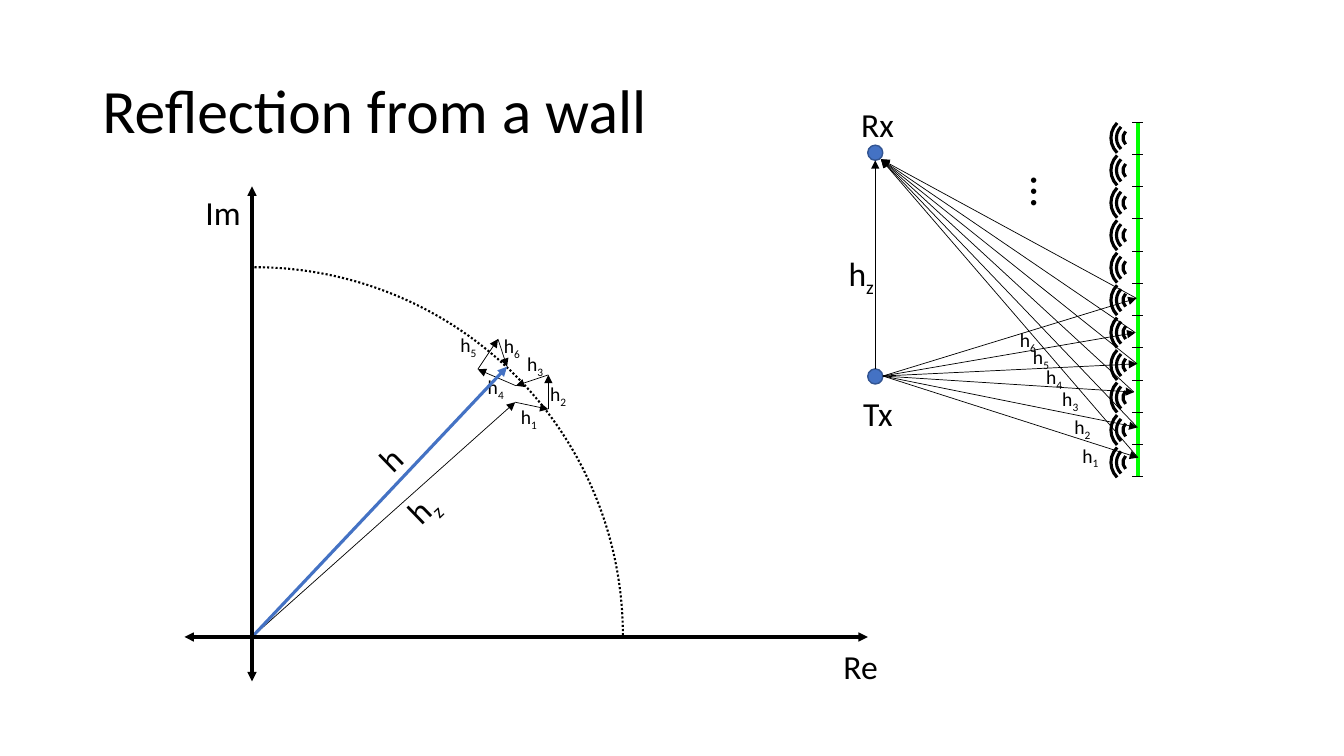
from dataclasses import dataclass
from itertools import pairwise

from lxml import etree
from pptx import Presentation
from pptx.dml import color
from pptx.enum import dml, shapes, text
from pptx.oxml import ns
from pptx.util import Pt


@dataclass(frozen=True)
class Theme:
    font: str = "Calibri"
    ink: str = "000000"
    accent: str = "4472C4"
    node_edge: str = "325491"
    wall: str = "00FF00"
    title: int = 44
    dots: int = 32
    label: int = 24
    small: int = 14
    thin: float = 0.5
    edge: float = 1
    dotted: float = 1.5
    thick: float = 2.25


THEME = Theme()
ORIGIN = (180, 455)
PHASOR_TIPS = [(368, 287.3), (391.7, 292.3), (391.7, 267.8), (368.5, 275.5),
               (341.3, 263.8), (355.7, 242.2), (362.2, 262)]
PHASOR_LABELS = [(365, 285.8), (385.9, 269.3), (369.4, 247.7),
                 (341.3, 264.2), (321.8, 234), (352.8, 234.7)]
WALL_HITS = [(812.9, 326.9), (812.5, 305.3), (810, 280.1),
             (812.2, 259.9), (811, 237.6), (811.8, 213.1)]
PATH_LABELS = [(766.1, 313.2), (760.3, 293), (751.7, 272.9),
               (740.2, 257), (730.8, 242.6), (721.4, 230.4)]
ANTENNA_X, RX_Y, TX_Y, NODE_SIZE = 625.2, 109.1, 268.9, 10.8
TX_EXIT, RX_ENTRY = (630.7, 268.6), (629.3, 113.8)
WALL_X, WALL_TOP, WALL_BOTTOM, SEGMENTS = 812.9, 87.1, 340.6, 11
WAVE_X, WAVE_TOP, WAVE_STEP = 808.6, 98.5, 23.18
WAVE_SIZES = (30.2, 13, 22.3)


def apply(target, values):
    for name, value in values.items():
        setattr(target, name, value)


def rgb(value):
    return color.RGBColor.from_string(value)


def stroke(line, ink, width):
    line.color.rgb = rgb(ink)
    line.width = Pt(width)


def add_line(parent, start, end, ink=THEME.ink, width=THEME.thin, heads=()):
    segment = parent.add_connector(
        shapes.MSO_CONNECTOR.STRAIGHT, *map(Pt, (*start, *end)))
    stroke(segment.line, ink, width)
    outline = segment.line._get_or_add_ln()
    for head in heads:
        etree.SubElement(outline, ns.qn(f"a:{head}"), type="triangle")
    etree.SubElement(segment._element.spPr, ns.qn("a:effectLst"))


def add_arrow(parent, start, end, **style):
    add_line(parent, start, end, heads=("tailEnd",), **style)


def add_axis(parent, start, end):
    add_line(parent, start, end, width=THEME.thick, heads=("headEnd", "tailEnd"))


def add_label(parent, wording, box, size=THEME.label, sub="", turn=0,
              align=text.PP_ALIGN.LEFT):
    label = parent.add_textbox(*map(Pt, box))
    label.rotation = turn
    apply(label.text_frame, {
        "word_wrap": False, "auto_size": text.MSO_AUTO_SIZE.SHAPE_TO_FIT_TEXT})
    paragraph = label.text_frame.paragraphs[0]
    paragraph.alignment = align
    for part in filter(None, (wording, sub)):
        run = paragraph.add_run()
        run.text = part
        apply(run.font, {"name": THEME.font, "size": Pt(size)})
        run.font.color.rgb = rgb(THEME.ink)
        if part == sub:
            run._r.get_or_add_rPr().set("baseline", "-25000")
    return label


def add_title(parent, wording):
    title = add_label(parent, wording, (66, 28.8, 828, 104.4), THEME.title)
    apply(title.text_frame, {
        "word_wrap": True, "auto_size": text.MSO_AUTO_SIZE.NONE,
        "vertical_anchor": text.MSO_ANCHOR.MIDDLE})
    apply(title, {"width": Pt(828), "height": Pt(104.4)})
    title.text_frame.paragraphs[0].line_spacing = 0.9


def add_round(parent, kind, center, size, ink, width):
    x, y = center
    figure = parent.add_shape(
        kind, Pt(x - size / 2), Pt(y - size / 2), Pt(size), Pt(size))
    figure.shadow.inherit = False
    stroke(figure.line, ink, width)
    return figure


def add_arc(parent, center, size, width):
    arc = add_round(parent, shapes.MSO_SHAPE.ARC, center, size, THEME.ink, width)
    arc.fill.background()
    return arc


def add_node(parent, y):
    node = add_round(parent, shapes.MSO_SHAPE.OVAL, (ANTENNA_X, y), NODE_SIZE,
                     THEME.node_edge, THEME.edge)
    node.fill.solid()
    node.fill.fore_color.rgb = rgb(THEME.accent)


def add_indexed_labels(parent, places):
    for index, place in enumerate(places, 1):
        add_label(parent, "h", (*place, 26.6, 24.2), THEME.small, str(index))


def draw_complex_plane(canvas):
    add_indexed_labels(canvas, PHASOR_LABELS)
    for start, end in pairwise([ORIGIN, *PHASOR_TIPS]):
        add_arrow(canvas, start, end)
    circle = add_arc(canvas, (181.8, 454), 526.3, THEME.dotted)
    circle.line.dash_style = dml.MSO_LINE.ROUND_DOT
    add_arrow(canvas, ORIGIN, PHASOR_TIPS[-1], ink=THEME.accent, width=THEME.thick)
    add_label(canvas, "h", (284.4, 344.2, 33.8, 36), sub="z", turn=315.9)
    add_label(canvas, "h", (265, 309.6, 27.4, 36), turn=315.9)
    axes = canvas.add_group_shape().shapes
    add_axis(axes, (131.8, 455), (619.9, 455))
    add_label(axes, "Re", (595.4, 457.9, 39.6, 36))
    add_axis(axes, (180, 133.2), (180, 486.7))
    add_label(axes, "Im", (139.7, 133.2, 39.6, 36))


def draw_wall(canvas):
    add_line(canvas, (WALL_X, WALL_TOP), (WALL_X, WALL_BOTTOM),
             ink=THEME.wall, width=THEME.thick)
    ticks = canvas.add_group_shape().shapes
    gap = (WALL_BOTTOM - WALL_TOP) / SEGMENTS
    for index in range(SEGMENTS + 1):
        y = WALL_TOP + index * gap
        add_line(ticks, (808.6, y), (816.7, y))
    waves = canvas.add_group_shape().shapes
    for index in range(SEGMENTS):
        for size in WAVE_SIZES:
            wave = add_arc(waves, (WAVE_X, WAVE_TOP + index * WAVE_STEP),
                           size, THEME.thick)
            wave.rotation = 225


def draw_paths(canvas):
    center = text.PP_ALIGN.CENTER
    for y in (TX_Y, RX_Y):
        add_node(canvas, y)
    add_label(canvas, "Tx", (609.1, 277.2, 36, 36), align=center)
    add_label(canvas, "Rx", (607.7, 70.6, 38.2, 36), align=center)
    direct = canvas.add_group_shape().shapes
    add_arrow(direct, (ANTENNA_X, TX_Y - NODE_SIZE / 2),
              (ANTENNA_X, RX_Y + NODE_SIZE / 2))
    add_label(direct, "h", (598.3, 177.1, 33.8, 36), sub="z", align=center)
    for hit in WALL_HITS:
        add_arrow(canvas, TX_EXIT, hit)
        add_arrow(canvas, hit, RX_ENTRY)
    add_indexed_labels(canvas, PATH_LABELS)
    add_label(canvas, "…", (730.8, 114.5, 36.7, 46.1), THEME.dots, turn=90)


def main():
    deck = Presentation()
    apply(deck, {"slide_width": Pt(960), "slide_height": Pt(540)})
    canvas = deck.slides.add_slide(deck.slide_layouts[6]).shapes
    add_title(canvas, "Reflection from a wall")
    draw_complex_plane(canvas)
    draw_wall(canvas)
    draw_paths(canvas)
    deck.save("out.pptx")


if __name__ == "__main__":
    main()
